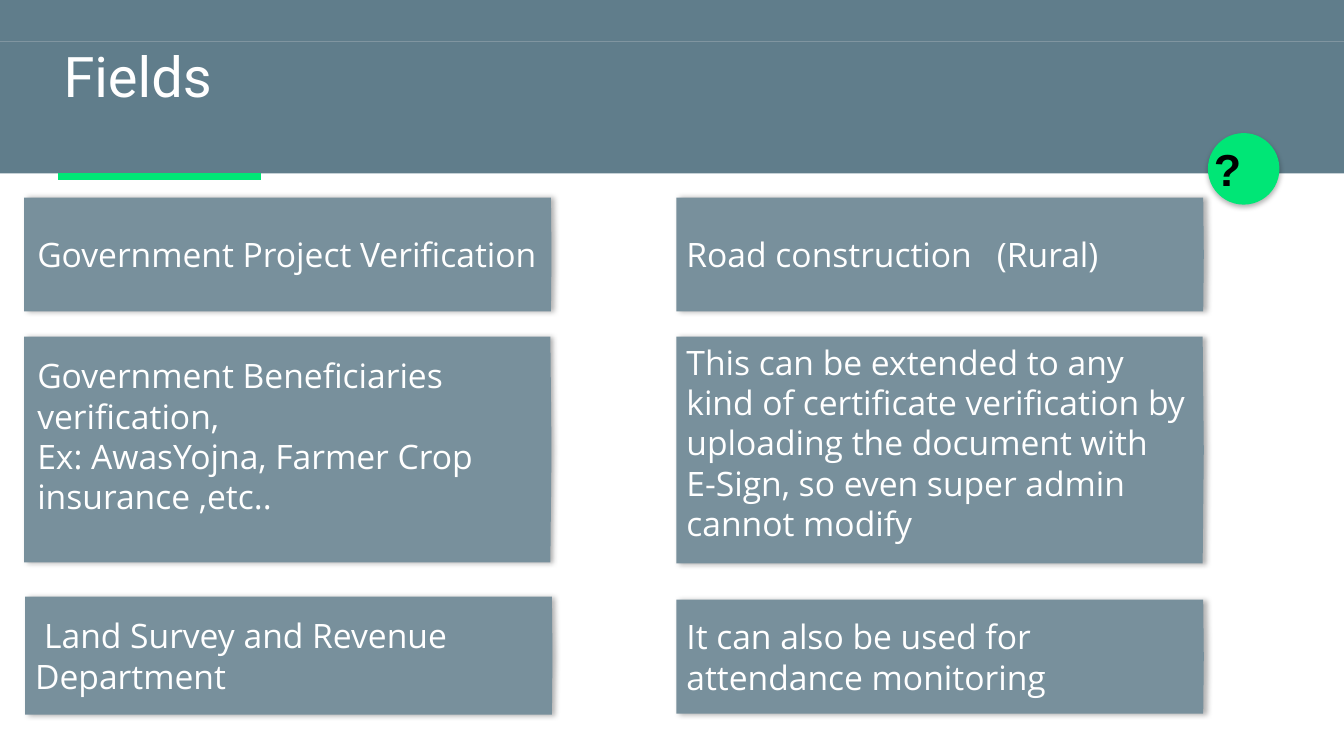
import pptx
import pptx.dml.color
import pptx.enum.shapes
import pptx.enum.text
import pptx.oxml
import pptx.oxml.ns
import pptx.util
from pptx.util import Inches

SHAPES = pptx.enum.shapes.MSO_SHAPE
ANCHORS = pptx.enum.text.MSO_ANCHOR
NAMESPACE = pptx.oxml.ns.nsdecls("a")
COLORS = {
    "top": "455A64",
    "header": "607D8B",
    "panel": "78909C",
    "accent": "00E676",
    "light": "FFFFFF",
    "dark": "000000",
}
PANEL_WIDTH = 5.23
LEFT_COLUMN = 0.24
RIGHT_COLUMN = 6.71


class FieldsSlide:
    def __init__(self, presentation):
        self.slide = presentation.slides.add_slide(presentation.slide_layouts[6])
        self.body_font = "Open Sans"
        self.body_size = 24

    def color(self, name):
        return pptx.dml.color.RGBColor.from_string(COLORS[name])

    def add_shape(self, kind, box, fill, line=None):
        shape = self.slide.shapes.add_shape(kind, *map(Inches, box))
        shape.shadow.inherit = False
        shape.fill.solid()
        shape.fill.fore_color.rgb = self.color(fill)
        if line:
            shape.line.color.rgb = self.color(line)
            shape.line.width = pptx.util.Pt(0.75)
        else:
            shape.line.fill.background()
        return shape

    def add_shadow(self, shape, degrees):
        effects = shape._element.spPr.find(pptx.oxml.ns.qn("a:effectLst"))
        effects.append(pptx.oxml.parse_xml(
            f'<a:outerShdw {NAMESPACE} blurRad="{pptx.util.Pt(4)}" '
            f'dist="{pptx.util.Pt(2)}" dir="{degrees * 60000}" algn="bl" rotWithShape="0">'
            f'<a:srgbClr val="{COLORS["dark"]}"><a:alpha val="30000"/></a:srgbClr>'
            '</a:outerShdw>'))

    def style_text(self, shape, text, insets, anchor, font, size, color="light", bold=False):
        frame = shape.text_frame
        frame.word_wrap = True
        frame.vertical_anchor = anchor
        (frame.margin_left, frame.margin_top,
         frame.margin_right, frame.margin_bottom) = map(Inches, insets)
        frame.text = text
        for paragraph in frame.paragraphs:
            paragraph.alignment = pptx.enum.text.PP_ALIGN.LEFT
            for run in paragraph.runs:
                run.font.name = font
                run.font.size = pptx.util.Pt(size)
                run.font.bold = bold
                run.font.color.rgb = self.color(color)

    def add_text(self, box, text, insets, anchor, font, size, **style):
        shape = self.slide.shapes.add_textbox(*map(Inches, box))
        self.style_text(shape, text, insets, anchor, font, size, **style)

    def add_line(self, start, end, color, width):
        line = self.slide.shapes.add_connector(
            pptx.enum.shapes.MSO_CONNECTOR.STRAIGHT, *map(Inches, start + end))
        line.line.color.rgb = self.color(color)
        line.line.width = pptx.util.Pt(width)
        line._element.spPr.append(pptx.oxml.parse_xml(f"<a:effectLst {NAMESPACE}/>"))

    def add_panel(self, left, top, height, text,
                  insets=(0.1, 0.05, 0.1, 0.05), anchor=ANCHORS.MIDDLE):
        panel = self.add_shape(SHAPES.PENTAGON, (left, top, PANEL_WIDTH, height), "panel")
        panel.adjustments[0] = 0.005
        self.add_shadow(panel, 0)
        self.style_text(panel, text, insets, anchor, self.body_font, self.body_size)
        return panel.text_frame.paragraphs[0]._p.get_or_add_pPr()


def main():
    presentation = pptx.Presentation()
    presentation.slide_width = Inches(13.33)
    presentation.slide_height = Inches(7.5)
    fields = FieldsSlide(presentation)

    fields.add_shape(SHAPES.RECTANGLE, (0, 0, 13.33, 0.41), "top")
    fields.add_shape(SHAPES.RECTANGLE, (0, 0.41, 13.33, 1.31), "header")
    badge = fields.add_shape(SHAPES.OVAL, (11.98, 1.32, 0.71, 0.71), "accent")
    fields.add_shadow(badge, 90)
    fields.add_line((0.58, 1.75), (2.59, 1.75), "accent", 4.5)
    fields.add_text((11.94, 1.47, 0.79, 0.4), "?", (0.1, 0.05, 0.1, 0.05),
                    ANCHORS.MIDDLE, "Arial", 32, color="dark", bold=True)
    fields.add_shape(SHAPES.RECTANGLE, (0, 1.31, 11.86, 0.4), "header", "header")
    fields.add_shape(SHAPES.RECTANGLE, (0, 0, 13.33, 0.4), "header", "header")

    fields.add_panel(LEFT_COLUMN, 1.96, 1.13, "Government Project Verification",
                     (0.13, 0.13, 0.1, 0.13))
    fields.add_panel(LEFT_COLUMN, 3.34, 2.24,
                     "Government Beneficiaries\nverification,\n"
                     "Ex: AwasYojna, Farmer Crop insurance ,etc..",
                     (0.13, 0.13, 0.13, 0.4))
    survey = fields.add_panel(LEFT_COLUMN + 0.01, 5.92, 1.17,
                              "Land Survey and Revenue Department")
    survey.set("indent", str(Inches(0.09)))
    road = fields.add_panel(RIGHT_COLUMN, 1.96, 1.13, "Road construction\t(Rural)")
    road.append(pptx.oxml.parse_xml(
        f'<a:tabLst {NAMESPACE}><a:tab pos="{Inches(3.08)}" algn="l"/></a:tabLst>'))
    fields.add_panel(RIGHT_COLUMN, 3.34, 2.25,
                     "This can be extended to any kind of certificate verification "
                     "by uploading the document with\n"
                     "E-Sign, so even super admin cannot modify",
                     anchor=ANCHORS.TOP)
    fields.add_panel(RIGHT_COLUMN, 5.95, 1.13,
                     "It can also be used for attendance monitoring")

    fields.add_text((0.5, 0.28, 7.88, 1.13), "Fields", (0.13, 0.13, 0.13, 0.13),
                    ANCHORS.TOP, "Roboto", 40)
    presentation.save("out.pptx")


if __name__ == "__main__":
    main()
